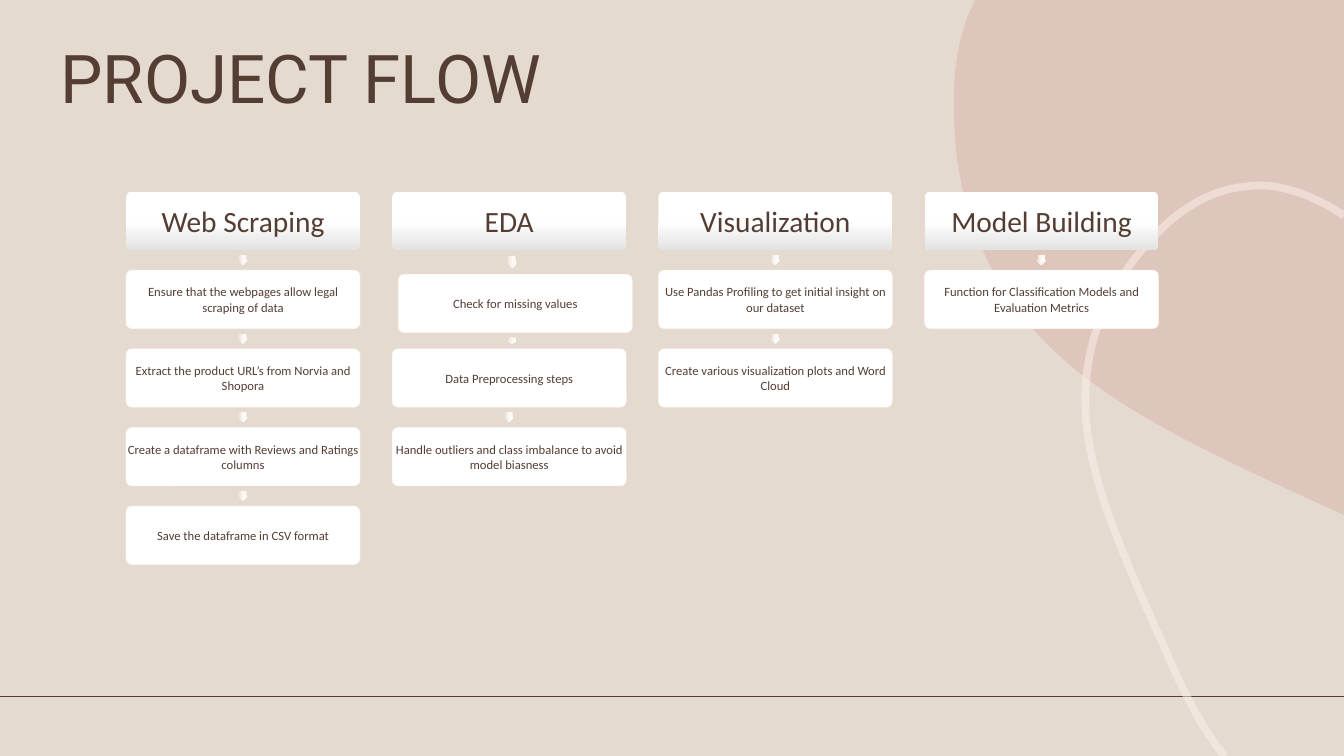
from dataclasses import dataclass
from math import atan2, degrees

from lxml.etree import SubElement
from pptx import Presentation
from pptx.dml.color import RGBColor as RGB
from pptx.enum.shapes import MSO_CONNECTOR as Connector, MSO_SHAPE as Shape
from pptx.enum.text import MSO_ANCHOR as Anchor, PP_ALIGN as Align
from pptx.oxml.ns import qn
from pptx.util import Inches, Pt


@dataclass(frozen=True)
class Theme:
    """Colours, fonts and type sizes of the deck."""
    ground: str = "E5DACF"
    ink: str = "543E34"
    rose: str = "CF9B92"
    cream: str = "FEF3ED"
    white: str = "FFFFFF"
    head_fade: tuple = ((0, "FFFFFF"), (50, "FFFFFF"), (100, "E3E3E3"))
    arrow_fade: tuple = ((0, "FFFEFD"), (50, "FEF8F4"), (100, "E5DCD6"))
    title_font: str = "Roboto"
    body_font: str = "Calibri"
    title_size: int = 48
    head_size: int = 21
    step_size: int = 9


T = Theme()
WIDTH, HEIGHT = 13.33, 7.5
CARD_W, CARD_H = 2.32, 0.58
COL_PITCH, ROW_PITCH = 2.64, 0.78

FLOW = [
    ("Web Scraping", [
        "Ensure that the webpages allow legal scraping of data",
        "Extract the product URL’s from Norvia and Shopora",
        "Create a dataframe with Reviews and Ratings columns",
        "Save the dataframe in CSV format"]),
    ("EDA", [
        "Check for missing values",
        "Data Preprocessing steps",
        "Handle outliers and class imbalance to avoid model biasness"]),
    ("Visualization", [
        "Use Pandas Profiling to get initial insight on our dataset",
        "Create various visualization plots and Word Cloud"]),
    ("Model Building", [
        "Function for Classification Models and Evaluation Metrics"]),
]
NUDGES = {(1, 1): (0.06, 0.04)}

BLOB = [
    [(0.21, 0)], [(3.87, 0)], [(3.87, 5.11)], [(3.61, 4.99)],
    [(1.9, 4.21), (0.86, 3.69), (0.32, 2.55)],
    [(0.02, 1.93), (0, 1.35), (0, 1.01)],
    [(0, 0.79), (0.02, 0.49), (0.13, 0.18)],
]
RIBBON = [
    [(1.38, 5.66)],
    [(1.21, 5.47), (1.02, 5.15), (0.79, 4.61)],
    [(0.17, 3.23), (-0.19, 2.4), (0.09, 1.48)],
    [(0.24, 1.01), (0.5, 0.69), (0.67, 0.51)],
    [(0.84, 0.33), (1.15, 0.05), (1.59, 0.01)],
    [(1.64, 0), (1.7, 0), (1.75, 0)],
    [(2.02, 0.01), (2.31, 0.13), (2.56, 0.3)],
]


def paint(fill, color, alpha=100):
    """Fill with one colour at an opacity in percent."""
    fill.solid()
    fill.fore_color.rgb = RGB.from_string(color)
    if alpha < 100:
        clr = fill._xPr.find(qn("a:solidFill"))[0]
        SubElement(clr, qn("a:alpha"), val=str(alpha * 1000))


def fade(s, stops):
    """Fill a shape with a top-to-bottom gradient."""
    s.fill.gradient()
    s.fill.gradient_angle = 270
    gs_list = s._element.spPr.find(qn("a:gradFill")).find(qn("a:gsLst"))
    for gs in list(gs_list):
        gs_list.remove(gs)
    for pos, color in stops:
        gs = SubElement(gs_list, qn("a:gs"), pos=str(pos * 1000))
        SubElement(gs, qn("a:srgbClr"), val=color)


def add_plain(slide, kind, x, y, w, h):
    """Add a preset shape without shadow or outline."""
    s = slide.shapes.add_shape(kind, Inches(x), Inches(y), Inches(w), Inches(h))
    s.shadow.inherit = False
    s.line.fill.background()
    return s


def add_outline(slide, x, y, segments, close):
    """Draw straight and cubic segments relative to the corner x, y."""
    points = [(Inches(x + px), Inches(y + py))
              for controls in segments for px, py in controls]
    builder = slide.shapes.build_freeform(*points[0])
    builder.add_line_segments(points[1:], close=close)
    s = builder.convert_to_shape()
    s.shadow.inherit = False
    lines = iter(list(s._element.iter(qn("a:lnTo"))))
    for controls in segments[1:]:
        first, *rest = [next(lines) for _ in controls]
        if rest:
            curve = first.getparent().makeelement(qn("a:cubicBezTo"))
            first.addprevious(curve)
            for line in (first, *rest):
                curve.append(line[0])
                line.getparent().remove(line)
    return s


def add_backdrop(slide, w, h):
    """Lay the ground colour, footer rule, rose blob and cream ribbon."""
    paint(slide.background.fill, T.ground)
    rule_y = Inches(h - 0.59)
    rule = slide.shapes.add_connector(Connector.STRAIGHT, 0, rule_y, Inches(w), rule_y)
    paint(rule.line.fill, T.ink)
    rule.line.width = Pt(1.25)
    SubElement(rule._element.spPr, qn("a:effectLst"))
    blob = add_outline(slide, w - 3.87, 0, BLOB, True)
    paint(blob.fill, T.rose, 30)
    blob.line.fill.background()
    ribbon = add_outline(slide, w - 2.56, 1.84, RIBBON, False)
    ribbon.fill.background()
    paint(ribbon.line.fill, T.cream, 50)
    ribbon.line.width = Pt(5.5)


def set_title(slide, text, x, y, w, h):
    """Place and format the title placeholder."""
    s = slide.shapes.title
    s.left, s.top, s.width, s.height = map(Inches, (x, y, w, h))
    tf = s.text_frame
    tf.text = text
    tf.vertical_anchor = Anchor.MIDDLE
    p = tf.paragraphs[0]
    p.alignment, p.line_spacing = Align.LEFT, 0.9
    style(p, T.title_font, T.title_size)


def style(p, font, size):
    """Set the font of a paragraph in the ink colour."""
    p.font.name, p.font.size = font, Pt(size)
    p.font.color.rgb = RGB.from_string(T.ink)


def add_card(slide, text, x, y, is_head):
    """Add a rounded card with a centred label."""
    s = add_plain(slide, Shape.ROUNDED_RECTANGLE, x, y, CARD_W, CARD_H)
    s.adjustments[0] = 0.1
    if is_head:
        fade(s, T.head_fade)
    else:
        paint(s.fill, T.white)
        paint(s.line.fill, T.cream, 90)
        s.line.width = Pt(0.5)
    label = slide.shapes.add_textbox(s.left, s.top, s.width, s.height)
    tf = label.text_frame
    tf.word_wrap, tf.vertical_anchor = True, Anchor.MIDDLE
    inset = Inches(0.03 if is_head else 0.01)
    tf.margin_left = tf.margin_right = tf.margin_top = tf.margin_bottom = inset
    p = tf.paragraphs[0]
    p.text, p.alignment = text, Align.CENTER
    style(p, T.body_font, T.head_size if is_head else T.step_size)


def add_arrow(slide, above, below):
    """Add a small arrow midway between two cards, aimed at the lower one."""
    (x1, y1), (x2, y2) = above, below
    gap, thick = y2 - y1 - CARD_H, 0.1
    length = min(gap / 2, gap - 0.1)
    cx, cy = (x1 + x2 + CARD_W) / 2, (y1 + y2 + CARD_H) / 2
    s = add_plain(slide, Shape.RIGHT_ARROW, cx - length / 2, cy - thick / 2, length, thick)
    s.adjustments[0], s.adjustments[1] = 0.667, 0.5
    s.rotation = degrees(atan2(y2 - y1, x2 - x1))
    fade(s, T.arrow_fade)


def add_flow(slide, x, y):
    """Lay out the columns of cards from the corner x, y."""
    for col, (head, steps) in enumerate(FLOW):
        above = None
        for row, text in enumerate([head, *steps]):
            dx, dy = NUDGES.get((col, row), (0, 0))
            spot = (x + col * COL_PITCH + dx, y + row * ROW_PITCH + dy)
            if above:
                add_arrow(slide, above, spot)
            add_card(slide, text, *spot, is_head=row == 0)
            above = spot


def main():
    """Build the project flow slide."""
    prs = Presentation()
    prs.slide_width, prs.slide_height = Inches(WIDTH), Inches(HEIGHT)
    slide = prs.slides.add_slide(prs.slide_layouts[5])
    add_backdrop(slide, WIDTH, HEIGHT)
    set_title(slide, "PROJECT FLOW", 0.5, 0.44, 11.5, 0.74)
    add_flow(slide, 1.25, 1.9)
    prs.save("out.pptx")


if __name__ == "__main__":
    main()
